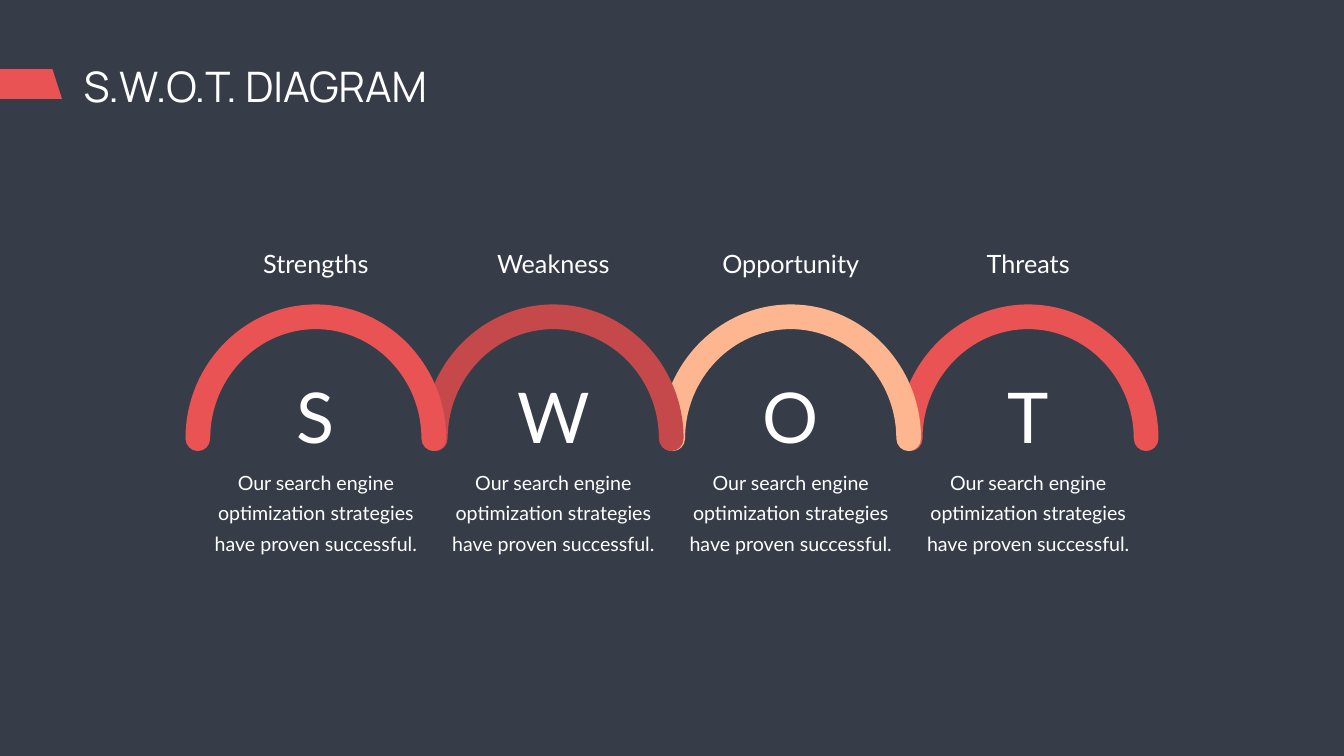
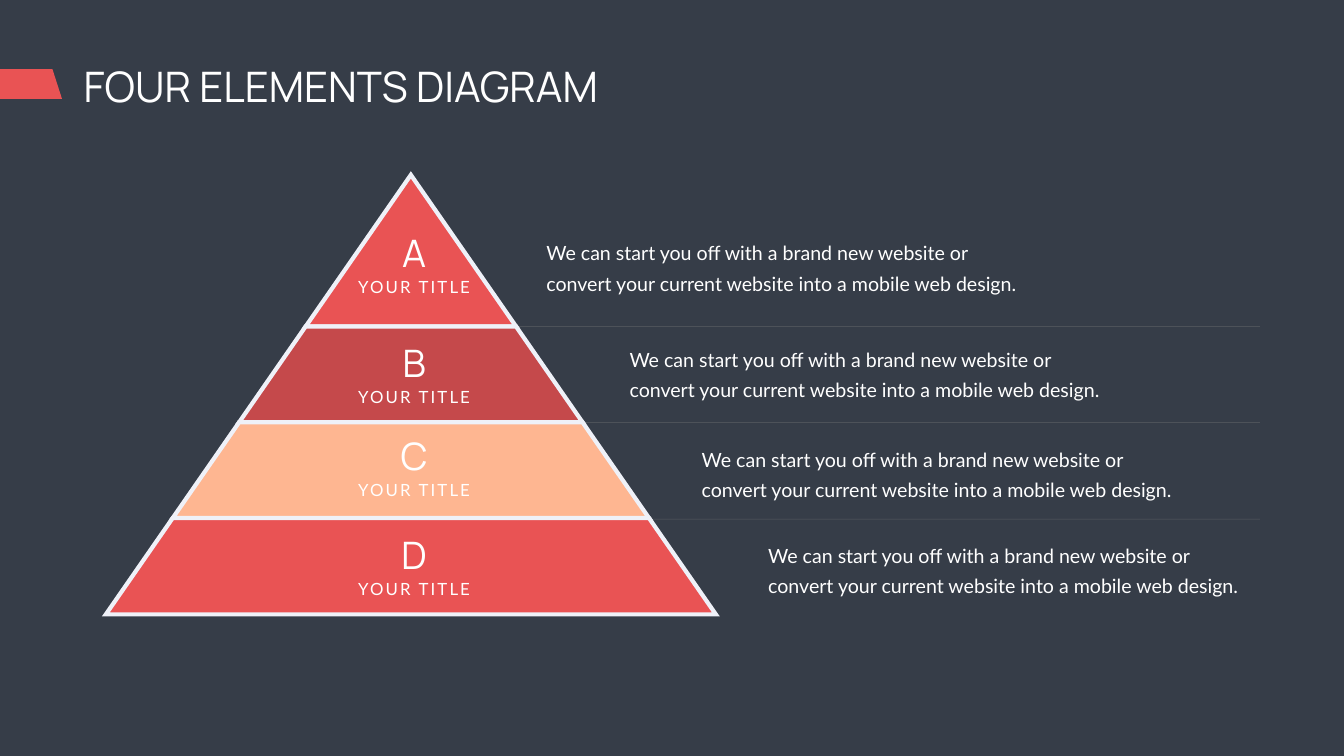
"""Build a S.W.O.T. arch slide and a four-level pyramid slide."""
from lxml.etree import SubElement
from pptx import Presentation
from pptx.dml.color import RGBColor
from pptx.enum.shapes import MSO_CONNECTOR
from pptx.enum.text import MSO_AUTO_SIZE, PP_ALIGN
from pptx.oxml.ns import qn
from pptx.util import Pt

PX = 9144
SLIDE_W, SLIDE_H = 2666, 1500

SLATE = RGBColor(0x36, 0x3D, 0x48)
CORAL = RGBColor(0xE9, 0x53, 0x54)
BRICK = RGBColor(0xC5, 0x49, 0x4B)
PEACH = RGBColor(0xFE, 0xB6, 0x91)
FROST = RGBColor(0xEF, 0xF1, 0xF8)
GREY = RGBColor(0x80, 0x80, 0x80)
WHITE = RGBColor(0xFF, 0xFF, 0xFF)
HEADING_FONT, BODY_FONT = "Manrope", "Lato"

FLAG = [(104, 137), (0, 137), (0, 196), (123, 196)]

SWOT_TITLE = "S.W.O.T. DIAGRAM"
SWOT_TEXT = "Our search engine optimization strategies have proven successful."
SWOT = [
    ("Strengths", 303, CORAL),
    ("Weakness", 323, BRICK),
    ("Opportunity", 384, PEACH),
    ("Threats", 245, CORAL),
]
ARCH_LEFT, ARCH_STEP, ARCH_WIDTH = 368, 471, 517
ARCH_TOP, ARCH_BASE, ARCH_FOOT = 604, 870, 895
BAND = 49
QUARTER_CURVE = 0.55

PYRAMID_TITLE = "FOUR ELEMENTS DIAGRAM"
PYRAMID_CAPTION = "YOUR TITLE"
PYRAMID_TEXT = ("We can start you off with a brand new website or "
                "convert your current website into a mobile web design.")
PYRAMID = [
    ("A", CORAL, 451, (1074, 461)),
    ("B", BRICK, 670, (1239, 673)),
    ("C", PEACH, 854, (1382, 871)),
    ("D", CORAL, 1050, (1514, 1061)),
]
LEVEL_EDGES = [347, 648, 838, 1028, 1219]
APEX_X, BASE_HALF = 815, 605
DIVIDERS = [1030, 838, 648]
DIVIDER_LEFT, DIVIDER_RIGHT = 797, 2499


def add_text(slide, box, text, size, font=BODY_FONT, centered=False,
             leading=None, tracking=None):
    textbox = slide.shapes.add_textbox(*(round(v * PX) for v in box))
    frame = textbox.text_frame
    frame.word_wrap = True
    frame.auto_size = MSO_AUTO_SIZE.SHAPE_TO_FIT_TEXT
    frame.text = text
    paragraph = frame.paragraphs[0]
    paragraph.alignment = PP_ALIGN.CENTER if centered else PP_ALIGN.LEFT
    if leading:
        paragraph.line_spacing = Pt(leading)
    run = paragraph.runs[0]
    run.font.size = Pt(size)
    run.font.name = font
    run.font.color.rgb = WHITE
    if tracking:
        run._r.get_or_add_rPr().set("spc", str(tracking * 100))


def add_centered(slide, center, top, width, height, text, size, **style):
    add_text(slide, (center - width / 2, top, width, height), text, size,
             centered=True, **style)


def add_outline(slide, points, fill, border=None):
    corners = [(x * PX, y * PX) for x, y in points]
    builder = slide.shapes.build_freeform(*corners[0])
    builder.add_line_segments(corners[1:], close=True)
    outline = builder.convert_to_shape()
    outline.shadow.inherit = False
    outline.fill.solid()
    outline.fill.fore_color.rgb = fill
    if border is None:
        outline.line.fill.background()
    else:
        outline.line.color.rgb = border
        outline.line.width = Pt(6)
        SubElement(outline.line._get_or_add_ln(), qn("a:miter"), lim="800000")
    return outline


def bend_segments(outline):
    segments = outline._element.findall(".//" + qn("a:lnTo"))
    for first, second, last in zip(segments[::3], segments[1::3], segments[2::3]):
        curve = first.makeelement(qn("a:cubicBezTo"))
        first.addprevious(curve)
        for segment in (first, second, last):
            curve.append(segment[0])
            segment.getparent().remove(segment)


def add_divider(slide, y):
    divider = slide.shapes.add_connector(
        MSO_CONNECTOR.STRAIGHT, DIVIDER_LEFT * PX, y * PX,
        DIVIDER_RIGHT * PX, y * PX)
    divider.line.width = Pt(0.5)
    divider.line.color.rgb = GREY
    properties = divider._element.spPr
    color = properties.find(".//" + qn("a:srgbClr"))
    SubElement(color, qn("a:alpha"), val="50000")
    SubElement(properties, qn("a:effectLst"))


def add_titled_slide(deck, title, title_width):
    slide = deck.slides.add_slide(deck.slide_layouts[6])
    slide.background.fill.solid()
    slide.background.fill.fore_color.rgb = SLATE
    add_text(slide, (156, 116, title_width, 111), title, 60, HEADING_FONT)
    add_outline(slide, FLAG, CORAL)
    return slide


def toward(start, corner):
    return tuple(a + (b - a) * QUARTER_CURVE for a, b in zip(start, corner))


def arch_points(left):
    right = left + ARCH_WIDTH
    middle = left + ARCH_WIDTH / 2
    inner_left, inner_right, inner_top = left + BAND, right - BAND, ARCH_TOP + BAND
    quarters = [
        ((left, ARCH_TOP), (middle, ARCH_TOP)),
        ((right, ARCH_TOP), (right, ARCH_BASE)),
        ((right, ARCH_FOOT), (right - BAND / 2, ARCH_FOOT)),
        ((inner_right, ARCH_FOOT), (inner_right, ARCH_BASE)),
        ((inner_right, inner_top), (middle, inner_top)),
        ((inner_left, inner_top), (inner_left, ARCH_BASE)),
        ((inner_left, ARCH_FOOT), (left + BAND / 2, ARCH_FOOT)),
        ((left, ARCH_FOOT), (left, ARCH_BASE)),
    ]
    points = [(left, ARCH_BASE)]
    for corner, end in quarters:
        points += [toward(points[-1], corner), toward(end, corner), end]
    return points


def build_swot(deck):
    slide = add_titled_slide(deck, SWOT_TITLE, 1550)
    columns = [(ARCH_LEFT + i * ARCH_STEP, *topic)
               for i, topic in enumerate(SWOT)]
    for left, _, _, color in reversed(columns):
        bend_segments(add_outline(slide, arch_points(left), color))
    for left, label, label_width, _ in columns:
        center = left + ARCH_WIDTH / 2
        add_centered(slide, center, 736, 171, 178, label[0], 100)
        add_centered(slide, center, 488, label_width, 71, label, 36)
        add_centered(slide, center, 917, 457, 185, SWOT_TEXT, 28, leading=43)


def half_width(y):
    return BASE_HALF * (y - LEVEL_EDGES[0]) / (LEVEL_EDGES[-1] - LEVEL_EDGES[0])


def build_pyramid(deck):
    slide = add_titled_slide(deck, PYRAMID_TITLE, 1469)
    for y in DIVIDERS:
        add_divider(slide, y)
    for (_, color, _, _), top, bottom in zip(PYRAMID, LEVEL_EDGES, LEVEL_EDGES[1:]):
        upper, lower = half_width(top), half_width(bottom)
        level = [(APEX_X - lower, bottom), (APEX_X - upper, top),
                 (APEX_X + upper, top), (APEX_X + lower, bottom)]
        if not upper:
            level.pop(2)
        add_outline(slide, level, color, FROST)
    for letter, _, letter_top, (text_left, text_top) in PYRAMID:
        add_text(slide, (text_left, text_top, 985, 125), PYRAMID_TEXT, 28, leading=43)
        add_text(slide, (669, letter_top, 305, 101), letter, 54,
                 HEADING_FONT, centered=True, tracking=3)
        add_text(slide, (594, letter_top + 93, 455, 50), PYRAMID_CAPTION, 24,
                 centered=True, tracking=3)


def main():
    deck = Presentation()
    deck.slide_width, deck.slide_height = SLIDE_W * PX, SLIDE_H * PX
    build_swot(deck)
    build_pyramid(deck)
    deck.save("out.pptx")


if __name__ == "__main__":
    main()
